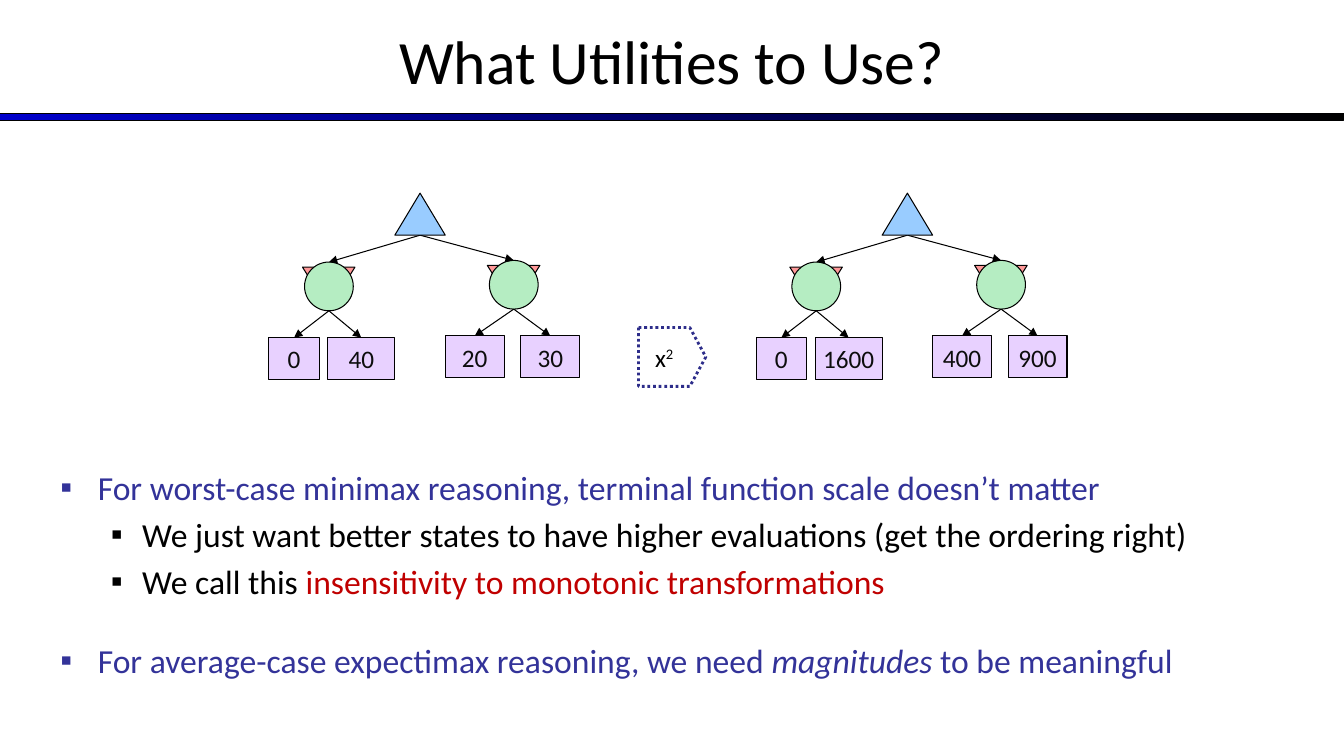
from lxml.etree import SubElement
from pptx import Presentation
from pptx.dml.color import RGBColor
from pptx.enum.dml import MSO_LINE
from pptx.enum.shapes import MSO_CONNECTOR, MSO_SHAPE
from pptx.enum.text import MSO_ANCHOR, MSO_AUTO_SIZE, PP_ALIGN
from pptx.oxml.ns import qn
from pptx.util import Inches, Pt

COLORS = {
    "black": "000000", "white": "FFFFFF", "bar": "0000CC", "max": "99CCFF",
    "min": "FF9999", "chance": "B5EDC2", "leaf": "E8D1FF", "number": "0D0D0D",
    "dots": "2D2D8A", "point": "333399", "accent": "C00000",
}

deck = Presentation()
deck.slide_width, deck.slide_height = Inches(13.33), Inches(7.5)
CELL = deck.slide_height / 90
page = deck.slides.add_slide(deck.slide_layouts[1])


def write(para, text, size=18, color="black", italic=False, raised=False):
    span = para.add_run()
    span.text = text
    span.font.name = "Calibri"
    span.font.size = Pt(size)
    span.font.italic = italic
    span.font.color.rgb = RGBColor.from_string(COLORS[color])
    if raised:
        span._r.get_or_add_rPr().set("baseline", "30000")


def draw(kind, column, row, columns, rows, fill, line="black", weight=0.75):
    shape = page.shapes.add_shape(
        kind, *(round(CELL * n) for n in (column, row, columns, rows)))
    shape.shadow.inherit = False
    shape.fill.solid()
    shape.fill.fore_color.rgb = RGBColor.from_string(COLORS[fill])
    shape.line.color.rgb = RGBColor.from_string(COLORS[line])
    shape.line.width = Pt(weight)
    shape.text_frame.vertical_anchor = MSO_ANCHOR.MIDDLE
    shape.text_frame.paragraphs[0].alignment = PP_ALIGN.CENTER
    return shape


bar = draw(MSO_SHAPE.RECTANGLE, 0, 13.5, 160, 0.85, "bar")
bar.width = deck.slide_width
bar.fill.gradient()
bar.fill.gradient_angle = 0
for stop, color in zip(bar.fill.gradient_stops, ("bar", "black")):
    stop.color.rgb = RGBColor.from_string(COLORS[color])

title = page.shapes.title
title.left, title.top = 0, Inches(-0.03)
title.width, title.height = deck.slide_width, Inches(1.25)
title.text_frame.vertical_anchor = MSO_ANCHOR.MIDDLE
title.text_frame.paragraphs[0].alignment = PP_ALIGN.CENTER
write(title.text_frame.paragraphs[0], "What Utilities to Use?", size=44)

body = page.placeholders[1]
body.left, body.top = round(CELL * 6), round(CELL * 55)
body.width, body.height = round(CELL * 145), round(CELL * 31)
body.text_frame.auto_size = MSO_AUTO_SIZE.NONE
points = [
    (0, 0, [("For worst-case minimax reasoning, terminal function scale doesn’t matter", {})]),
    (1, 4.8, [("We just want better states to have higher evaluations (get the ordering right)", {})]),
    (1, 4.8, [("We call this ", {}),
              ("insensitivity to monotonic transformations", {"color": "accent"})]),
    (0, 27.5, [("For average-case expectimax reasoning, we need ", {}),
               ("magnitudes", {"italic": True}), (" to be meaningful", {})]),
]
indents = [(0.37, -0.37, "point"), (0.81, -0.31, "black")]
for index, (level, gap, spans) in enumerate(points):
    para = body.text_frame.paragraphs[0] if index == 0 else body.text_frame.add_paragraph()
    margin, hanging, color = indents[level]
    para.level = level
    para.space_before = Pt(gap)
    settings = para._p.get_or_add_pPr()
    settings.set("marL", str(Inches(margin)))
    settings.set("indent", str(Inches(hanging)))
    SubElement(SubElement(settings, qn("a:buClr")), qn("a:srgbClr")).set("val", COLORS[color])
    SubElement(settings, qn("a:buFont")).set("typeface", "Arial")
    SubElement(settings, qn("a:buChar")).set("char", "▪")
    for text, style in spans:
        write(para, text, **{"size": 24, "color": color, **style})

arrow = draw(MSO_SHAPE.RIGHT_ARROW, 76, 39, 8, 7, "white", line="dots", weight=2)
arrow.adjustments[0], arrow.adjustments[1] = 1, 0.27
arrow.line.dash_style = MSO_LINE.ROUND_DOT
arrow.text_frame.word_wrap = True
write(arrow.text_frame.paragraphs[0], "x")
write(arrow.text_frame.paragraphs[0], "2", raised=True)

trees = [(32, ["0", "40", "20", "30"]), (90, ["0", "1600", "400", "900"])]
branches = [(4, 31.2, [(0, 6), (7, 8)]), (26, 31, [(21, 7), (30, 7)])]
for left, values in trees:
    value = iter(values)
    edges = []
    for offset, top, leaves in branches:
        hidden_min = draw(MSO_SHAPE.ISOSCELES_TRIANGLE, left + offset, top + 0.6, 6.25, 5, "min")
        hidden_min.rotation = 180
        chance = draw(MSO_SHAPE.OVAL, left + offset + 0.25, top, 5.8, 5.8, "chance")
        edges.append((left + 18, 28, chance))
        for start, columns in leaves:
            leaf = draw(MSO_SHAPE.RECTANGLE, left + start, top + 9, columns, 5, "leaf")
            leaf.text_frame.word_wrap = False
            write(leaf.text_frame.paragraphs[0], next(value), color="number")
            edges.append((left + offset + 3.15, top + 5.8, leaf))
    for column, row, child in edges:
        x, y = round(CELL * column), round(CELL * row)
        edge = page.shapes.add_connector(MSO_CONNECTOR.STRAIGHT, x, y, x, y)
        edge.end_connect(child, 0)
        edge.line.color.rgb = RGBColor.from_string(COLORS["black"])
        edge.line.width = Pt(0.75)
        SubElement(edge.line._get_or_add_ln(), qn("a:tailEnd")).set("type", "triangle")
        SubElement(edge._element.spPr, qn("a:effectLst"))
    draw(MSO_SHAPE.ISOSCELES_TRIANGLE, left + 15, 23, 6, 5, "max")

deck.save("out.pptx")
